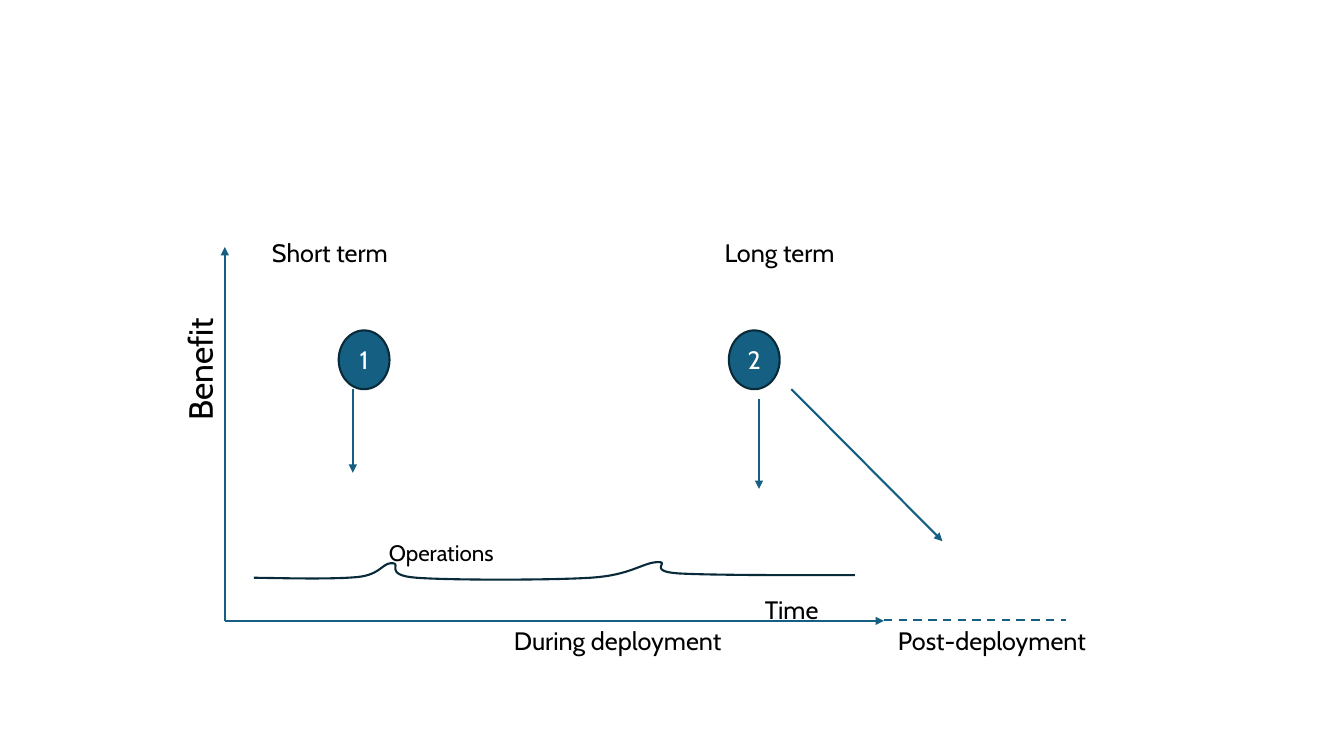
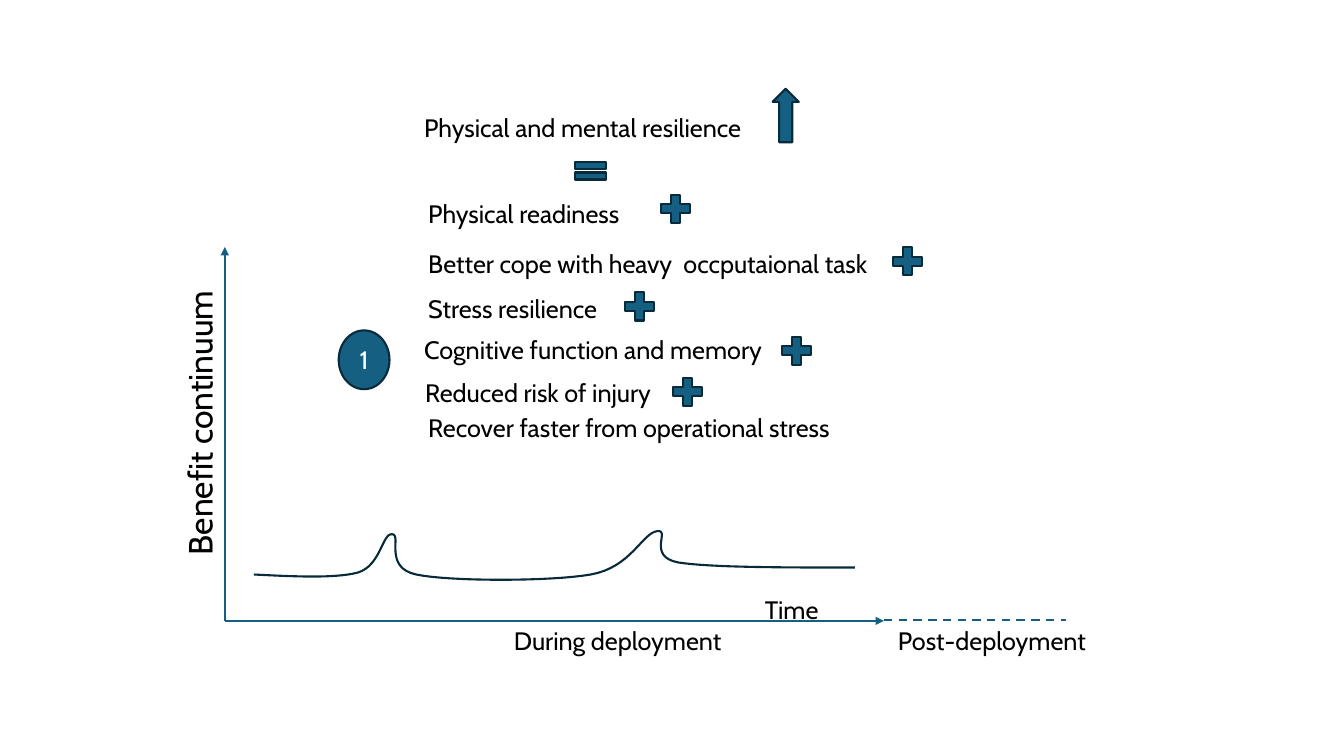
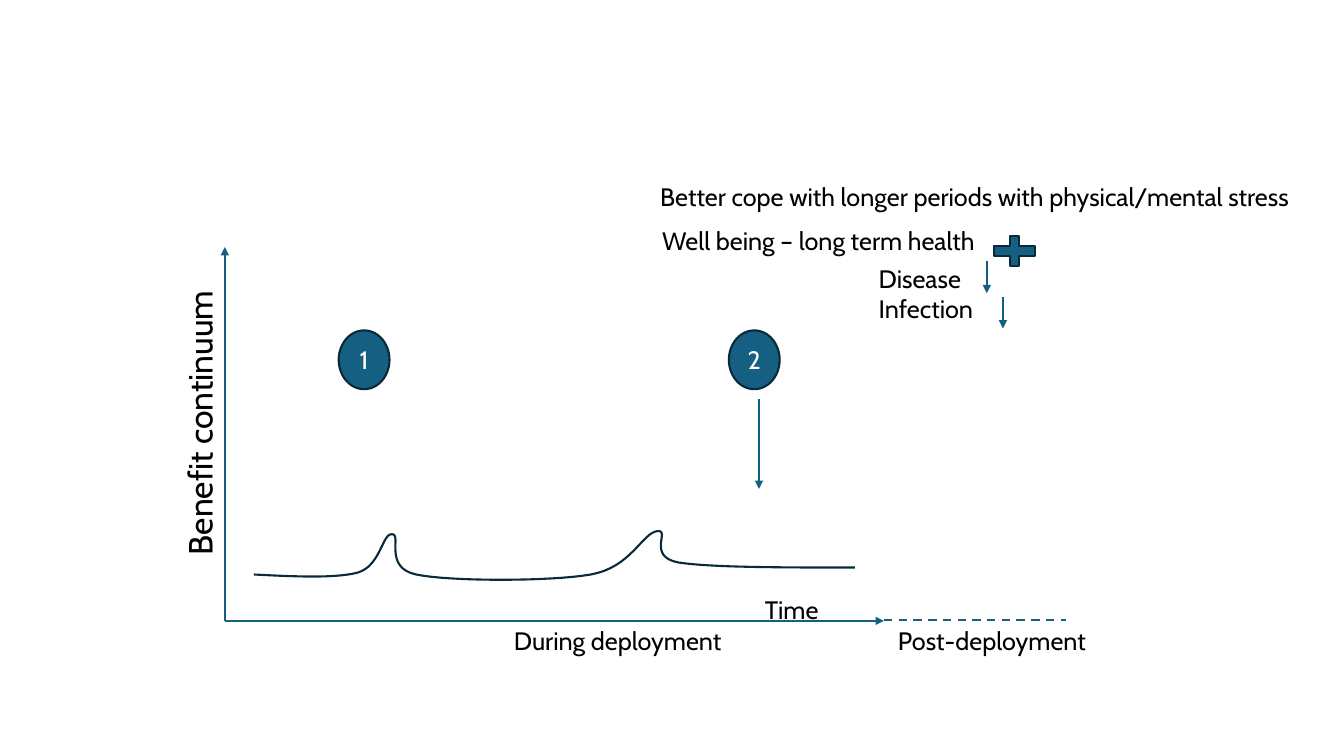
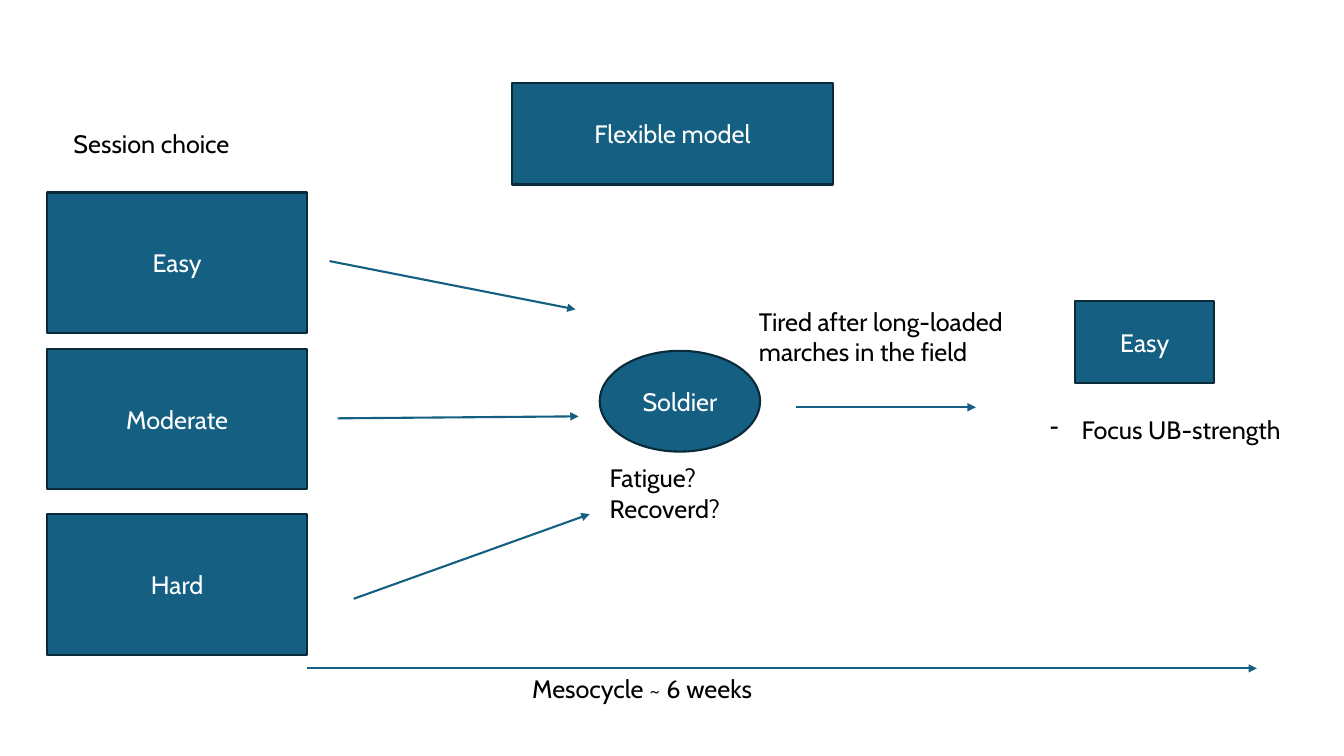
import pptx
import pptx.util
import pptx.dml.color
import pptx.enum.dml
import pptx.enum.shapes
import pptx.enum.text
import pptx.oxml.ns
import lxml.etree

Pt = pptx.util.Pt
RGBColor = pptx.dml.color.RGBColor
SHAPE = pptx.enum.shapes.MSO_SHAPE
qn = pptx.oxml.ns.qn

BLUE = RGBColor(0x15, 0x60, 0x82)
NAVY = RGBColor(0x09, 0x2A, 0x39)
BLACK = RGBColor(0, 0, 0)
WHITE = RGBColor(255, 255, 255)
FONT = "Cabin"
LINE_WIDTH = 1.5
PLUS_SIZE = (28, 27.4)
CIRCLE_SIZE = (36.3, 42)
CIRCLE_TOP = 236

AXES = [(160.6, 443.5, 631.4, 443.5), (160.6, 443.5, 160.6, 176.4)]
POST_AXIS = (631.4, 442.8, 761.8, 442.8)
AXIS_LABELS = [
    ("Time", 539.3, 421.2, 52.6),
    ("During deployment", 360, 442.8, 163.4),
    ("Post-deployment", 634.3, 442.8, 149),
]
CURVE_START = (181.4, 410.4)
CURVE_SEGMENTS = [
    [(210.2, 411.8), (239, 413.3), (255.6, 409)],
    [(272.2, 403.9), (272.9, 380.9), (280.1, 381.6)],
    [(287.3, 381.6), (273.6, 405.4), (297.4, 410.4)],
    [(321.1, 415.4), (393.1, 415.4), (421.9, 410.4)],
    [(450.7, 405.4), (458.6, 380.9), (469.4, 379.4)],
    [(479.5, 378), (461.5, 397.4), (484.6, 401.8)],
    [(508.3, 405.4), (559.4, 405.4), (610.6, 405.4)],
]
CURVE_BASE = 414
CURVE_STEPS = 16
FLAT = 0.36

CIRCLES = {"1": 241.9, "2": 520.6}
BENEFIT = ("Benefit", 97.9, 244.8, 89.3)
CONTINUUM = ("Benefit continuum", 38.2, 281.5, 208.1)
LONG_TERM_ARROW = (542.2, 285.1, 542.2, 349.2)

TERM_LABELS = [
    ("Short term", 187.2, 166.3, 97.2),
    ("Long term", 510.5, 166.3, 92.9),
]
TERM_ARROWS = [
    (565.2, 277.9, 673.2, 386.6),
    LONG_TERM_ARROW,
    (252, 277.9, 252, 337.7),
]
OPERATIONS = ("Operations", 270.7, 381.6, 92.2)

SHORT_BENEFITS = [
    ("Physical and mental resilience", 295.9, 77, 252.7),
    ("Physical readiness", 298.8, 138.2, 164.2),
    ("Better cope with heavy  occputaional task", 298.8, 173.5, 339.8),
    ("Stress resilience", 298.8, 205.9, 144),
    ("Cognitive function and memory", 295.9, 235.4, 259.2),
    ("Reduced risk of injury", 296.6, 265.7, 182.2),
    ("Recover faster from operational stress", 298.8, 290.9, 311.8),
]
PLUS_POSITIONS = [(468.4, 135.4), (634.4, 172.8), (442.8, 205.2), (555.1, 236.9), (477.2, 266.2)]
EQUALS = (406.8, 111.6, 30.2, 20.9)
UP_ARROW = (551.9, 63.4, 18.7, 38.2)

LONG_BENEFITS = [
    ("Better cope with longer periods with physical/mental stress", 464.4, 126, 476.6),
    ("Well being – long term health", 465.8, 157.7, 239),
    ("Disease\nInfection", 620.6, 184.3, 83.5),
]
HEALTH_PLUS = (704.9, 164.9, 39.6, 28.8)
DECREASE_ARROWS = [(704.9, 186.5, 704.9, 209.5), (716.4, 212.4, 716.4, 234.7)]

SESSIONS = [("Easy", 137.5), ("Moderate", 249.1), ("Hard", 367.2)]
SESSION_LEFT, SESSION_WIDTH, SESSION_HEIGHT = 33.8, 185.4, 100.4
MODEL_BOXES = [
    ("Flexible model", SHAPE.RECTANGLE, 365.8, 59.4, 229, 72.4),
    ("Soldier", SHAPE.OVAL, 428.4, 250.6, 114.5, 72),
    ("Easy", SHAPE.RECTANGLE, 768, 215.3, 99.4, 58.4),
]
MODEL_LABELS = [
    ("Session choice", 45.4, 87.8, 133.2),
    ("Mesocycle ~ 6 weeks", 373, 477.4, 178.6),
    ("Fatigue?\nRecoverd?", 428.4, 326.9, 97.2),
]
FOCUS = ("Focus UB-strength", 743, 292.3, 182.9)
TIRED = ("Tired after long-loaded marches in the field", 535, 215.3, 202.3)
MODEL_ARROWS = [
    (219.6, 477.4, 897.8, 477.4),
    (241.2, 298.8, 413.3, 297.4),
    (252.7, 427.7, 421.2, 367.2),
    (235.4, 186.5, 411.1, 221),
    (568.8, 290.9, 697, 290.9),
]


def pts(*values):
    return [Pt(v) for v in values]


def add_run(p, text, size, color):
    r = p.add_run()
    r.text = text
    r.font.name = FONT
    r.font.size = Pt(size)
    r.font.color.rgb = color


def add_label(s, text, x, y, w, size=18, rotation=0, wrap=False, lines=None):
    paragraphs = text.split("\n")
    height = 7.2 + 1.2 * size * (lines or len(paragraphs))
    sp = s.shapes.add_textbox(*pts(x, y, w, height))
    sp.rotation = rotation
    tf = sp.text_frame
    tf.word_wrap = wrap
    tf.auto_size = pptx.enum.text.MSO_AUTO_SIZE.SHAPE_TO_FIT_TEXT
    for i, line in enumerate(paragraphs):
        p = tf.add_paragraph() if i else tf.paragraphs[0]
        add_run(p, line, size, BLACK)
    return sp


def add_labels(s, labels):
    for label in labels:
        add_label(s, *label)


def add_figure(s, kind, x, y, w, h, text=None):
    sp = s.shapes.add_shape(kind, *pts(x, y, w, h))
    sp.shadow.inherit = False
    sp.fill.solid()
    sp.fill.fore_color.rgb = BLUE
    sp.line.color.rgb = NAVY
    sp.line.width = Pt(LINE_WIDTH)
    if text:
        tf = sp.text_frame
        tf.vertical_anchor = pptx.enum.text.MSO_ANCHOR.MIDDLE
        p = tf.paragraphs[0]
        p.alignment = pptx.enum.text.PP_ALIGN.CENTER
        add_run(p, text, 18, WHITE)


def add_line(s, ends, arrow=True):
    sp = s.shapes.add_connector(pptx.enum.shapes.MSO_CONNECTOR.STRAIGHT, *pts(*ends))
    sp.line.color.rgb = BLUE
    sp.line.width = Pt(LINE_WIDTH)
    if arrow:
        lxml.etree.SubElement(sp.line._get_or_add_ln(), qn("a:tailEnd"), type="triangle")
    else:
        sp.line.dash_style = pptx.enum.dml.MSO_LINE.DASH
    lxml.etree.SubElement(sp._element.spPr, qn("a:effectLst"))


def add_lines(s, lines):
    for ends in lines:
        add_line(s, ends)


def bezier(a, b, c, d, t):
    u = 1 - t
    return u**3 * a + 3 * u * u * t * b + 3 * u * t * t * c + t**3 * d


def add_curve(s, scale):
    points = [CURVE_START]
    for segment in CURVE_SEGMENTS:
        xs, ys = zip(points[-1], *segment)
        points += [
            (bezier(*xs, i / CURVE_STEPS), bezier(*ys, i / CURVE_STEPS))
            for i in range(1, CURVE_STEPS + 1)
        ]
    scaled = [(Pt(x), Pt(CURVE_BASE + (y - CURVE_BASE) * scale)) for x, y in points]
    builder = s.shapes.build_freeform(*scaled[0])
    builder.add_line_segments(scaled[1:], close=False)
    sp = builder.convert_to_shape()
    sp.shadow.inherit = False
    sp.fill.background()
    sp.line.color.rgb = NAVY
    sp.line.width = Pt(LINE_WIDTH)


def add_slide(prs):
    return prs.slides.add_slide(prs.slide_layouts[6])


def add_timeline(prs, axis_title, circles, scale=1):
    s = add_slide(prs)
    add_lines(s, AXES)
    add_curve(s, scale)
    add_labels(s, AXIS_LABELS)
    add_line(s, POST_AXIS, arrow=False)
    add_label(s, *axis_title, size=24, rotation=270)
    for number in circles:
        add_figure(s, SHAPE.OVAL, CIRCLES[number], CIRCLE_TOP, *CIRCLE_SIZE, number)
    return s


def build_terms(prs):
    s = add_timeline(prs, BENEFIT, "12", FLAT)
    add_lines(s, TERM_ARROWS)
    add_labels(s, TERM_LABELS)
    add_label(s, *OPERATIONS, size=16)


def build_short_term(prs):
    s = add_timeline(prs, CONTINUUM, "1")
    add_labels(s, SHORT_BENEFITS)
    for x, y in PLUS_POSITIONS:
        add_figure(s, SHAPE.MATH_PLUS, x, y, *PLUS_SIZE)
    add_figure(s, SHAPE.MATH_EQUAL, *EQUALS)
    add_figure(s, SHAPE.UP_ARROW, *UP_ARROW)


def build_long_term(prs):
    s = add_timeline(prs, CONTINUUM, "12")
    add_labels(s, LONG_BENEFITS)
    add_figure(s, SHAPE.MATH_PLUS, *HEALTH_PLUS)
    add_lines(s, [LONG_TERM_ARROW, *DECREASE_ARROWS])


def build_model(prs):
    s = add_slide(prs)
    for text, top in SESSIONS:
        add_figure(s, SHAPE.RECTANGLE, SESSION_LEFT, top, SESSION_WIDTH, SESSION_HEIGHT, text)
    for text, kind, *frame in MODEL_BOXES:
        add_figure(s, kind, *frame, text)
    add_lines(s, MODEL_ARROWS)
    add_labels(s, MODEL_LABELS)
    add_label(s, *TIRED, wrap=True, lines=2)
    focus = add_label(s, *FOCUS)
    pPr = focus.text_frame.paragraphs[0]._p.get_or_add_pPr()
    pPr.set("marL", str(Pt(22.5)))
    pPr.set("indent", str(-Pt(22.5)))
    lxml.etree.SubElement(pPr, qn("a:buFontTx"))
    lxml.etree.SubElement(pPr, qn("a:buChar"), char="-")


def main():
    prs = pptx.Presentation()
    prs.slide_width, prs.slide_height = pts(960, 540)
    for build in (build_terms, build_short_term, build_long_term, build_model):
        build(prs)
    prs.save("out.pptx")


if __name__ == "__main__":
    main()
